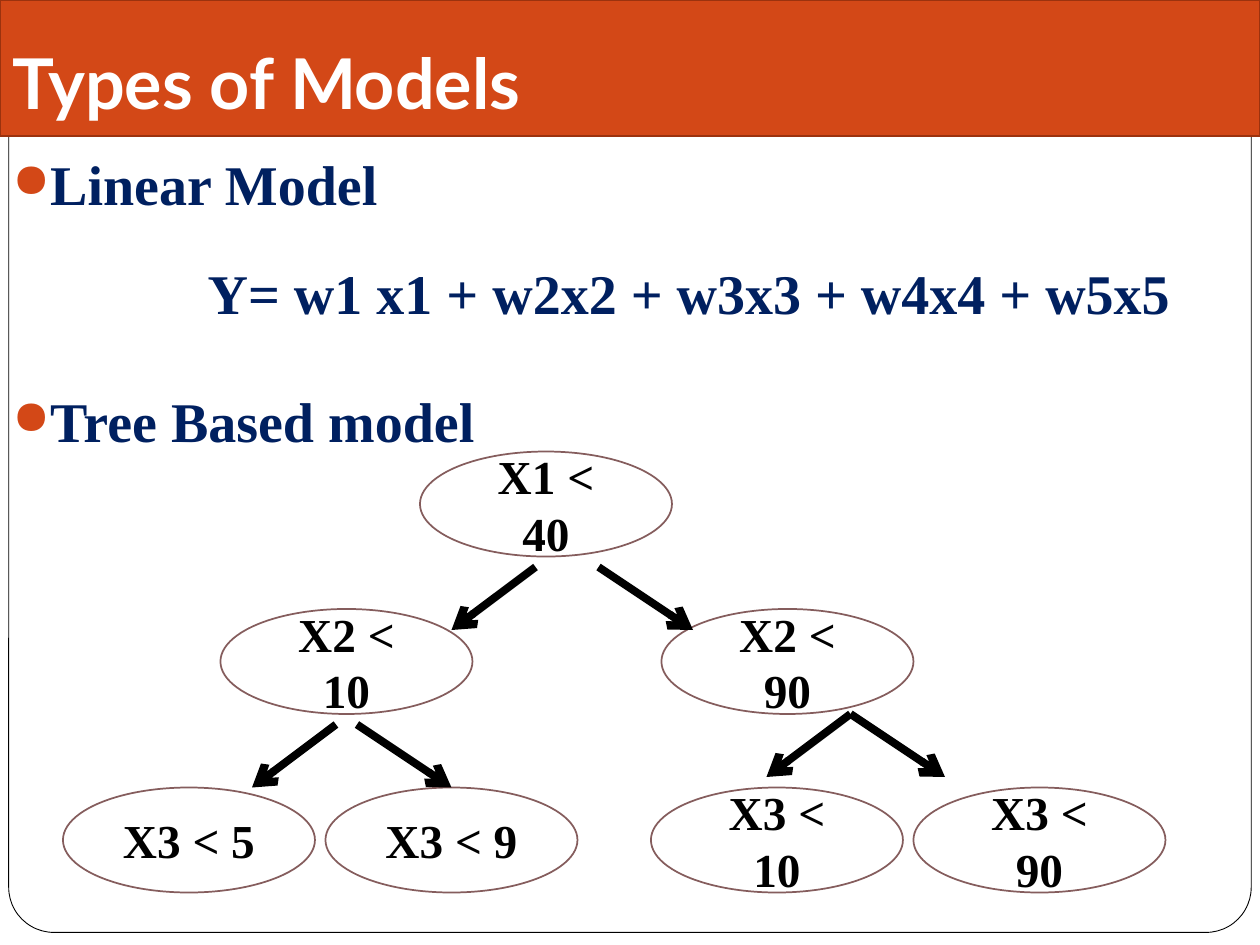
from lxml.etree import SubElement
from pptx import Presentation
from pptx.dml.color import RGBColor as RGB
from pptx.enum.shapes import MSO_CONNECTOR as CONN, MSO_SHAPE as SHAPE
from pptx.enum.text import MSO_ANCHOR as ANCHOR, PP_ALIGN as ALIGN
from pptx.oxml.ns import qn
from pptx.util import Pt

# Content
TITLE = "Types of Models"
# text, bulleted, space before
BODY = [
    ("Linear Model", True, 0),
    ("Y= w1 x1 + w2x2 + w3x3 + w4x4 + w5x5", False, 24),
    ("Tree Based model", True, 35),
]
# Tree levels: top, then (label, left) of each node
LEVELS = [
    (258, [("X1 < 40", 240)]),
    (348, [("X2 < 10", 126), ("X2 < 90", 378)]),
    (450, [("X3 < 5", 36), ("X3 < 9", 186), ("X3 < 10", 372), ("X3 < 90", 522)]),
]
# Start of the left branch, start of the right branch, top
BRANCHES = [(306, 342, 324), (192, 204, 414), (486, 486, 408)]

# Theme and sizes
W, H, BAR_H = 720, 540, 77.76
NODE_W, NODE_H = 144, 60
LEFT_RUN, RIGHT_RUN, DROP = -48, 54, 36
INDENT, FORMULA_INDENT = 21.6, 111.6
SERIF = "Times New Roman"
THEME = {
    "paper": RGB.from_string("FFFFFF"),
    "ink": RGB.from_string("000000"),
    "accent": RGB.from_string("D34817"),
    "accent_line": RGB.from_string("9B320E"),
    "node_line": RGB.from_string("855D5D"),
    "title": {"name": "Lato", "size": Pt(40), "color": "FFFFFF"},
    "body": {"name": SERIF, "size": Pt(32), "color": "002060"},
    "node": {"name": SERIF, "size": Pt(27), "color": "000000"},
}


def add_text(p, text, style):
    r = p.add_run()
    r.text = text
    r.font.bold = True
    for key, value in THEME[style].items():
        if key == "color":
            r.font.color.rgb = RGB.from_string(value)
        else:
            setattr(r.font, key, value)


def format_frame(tf, **values):
    tf.word_wrap = True
    for key, value in values.items():
        setattr(tf, key, value)


def add_shape(kind, box, fill, line, width):
    sp = slide.shapes.add_shape(kind, *map(Pt, box))
    sp.shadow.inherit = False
    sp.fill.solid()
    sp.fill.fore_color.rgb = THEME[fill]
    sp.line.color.rgb = THEME[line]
    sp.line.width = Pt(width)
    return sp


def set_indent(p, bulleted):
    pPr = p._p.get_or_add_pPr()
    pPr.set("marL", str(Pt(INDENT if bulleted else FORMULA_INDENT)))
    pPr.set("indent", str(Pt(-INDENT if bulleted else 0)))
    if bulleted:
        color = SubElement(pPr, qn("a:buClr"))
        SubElement(color, qn("a:srgbClr"), val=str(THEME["accent"]))
        SubElement(pPr, qn("a:buSzPct"), val="85000")
        SubElement(pPr, qn("a:buChar"), char="●")
    else:
        SubElement(pPr, qn("a:buNone"))


def add_arrow(x, y, run):
    c = slide.shapes.add_connector(CONN.STRAIGHT, *map(Pt, (x, y, x + run, y + DROP)))
    c.line.color.rgb = THEME["ink"]
    c.line.width = Pt(4.5)
    SubElement(c.line._get_or_add_ln(), qn("a:tailEnd"), type="arrow")
    SubElement(c._element.spPr, qn("a:effectLst"))


prs = Presentation()
prs.slide_width, prs.slide_height = Pt(W), Pt(H)
slide = prs.slides.add_slide(prs.slide_layouts[6])

# Frame and title bar
frame = add_shape(SHAPE.ROUNDED_RECTANGLE, (5, 5.8, 710, 527), "paper", "ink", 0.5)
frame.adjustments[0] = 0.049
bar = add_shape(SHAPE.RECTANGLE, (0, 0, W, BAR_H), "accent", "accent_line", 1)
format_frame(bar.text_frame, vertical_anchor=ANCHOR.BOTTOM, margin_bottom=Pt(7.2))
p = bar.text_frame.paragraphs[0]
p.alignment = ALIGN.LEFT
add_text(p, TITLE, "title")

# Body text
tf = slide.shapes.add_textbox(0, Pt(BAR_H), Pt(W), Pt(H - BAR_H)).text_frame
format_frame(tf, margin_top=Pt(7.5))
for i, (text, bulleted, space) in enumerate(BODY):
    p = tf.add_paragraph() if i else tf.paragraphs[0]
    set_indent(p, bulleted)
    p.space_before = Pt(space)
    add_text(p, text, "body")

# Tree nodes
for top, nodes in LEVELS:
    for label, left in nodes:
        sp = add_shape(SHAPE.OVAL, (left, top, NODE_W, NODE_H), "paper", "node_line", 1)
        format_frame(sp.text_frame, vertical_anchor=ANCHOR.MIDDLE)
        p = sp.text_frame.paragraphs[0]
        p.alignment = ALIGN.CENTER
        add_text(p, label, "node")

# Tree branches
for left, right, top in BRANCHES:
    add_arrow(left, top, LEFT_RUN)
    add_arrow(right, top, RIGHT_RUN)

prs.save("out.pptx")
